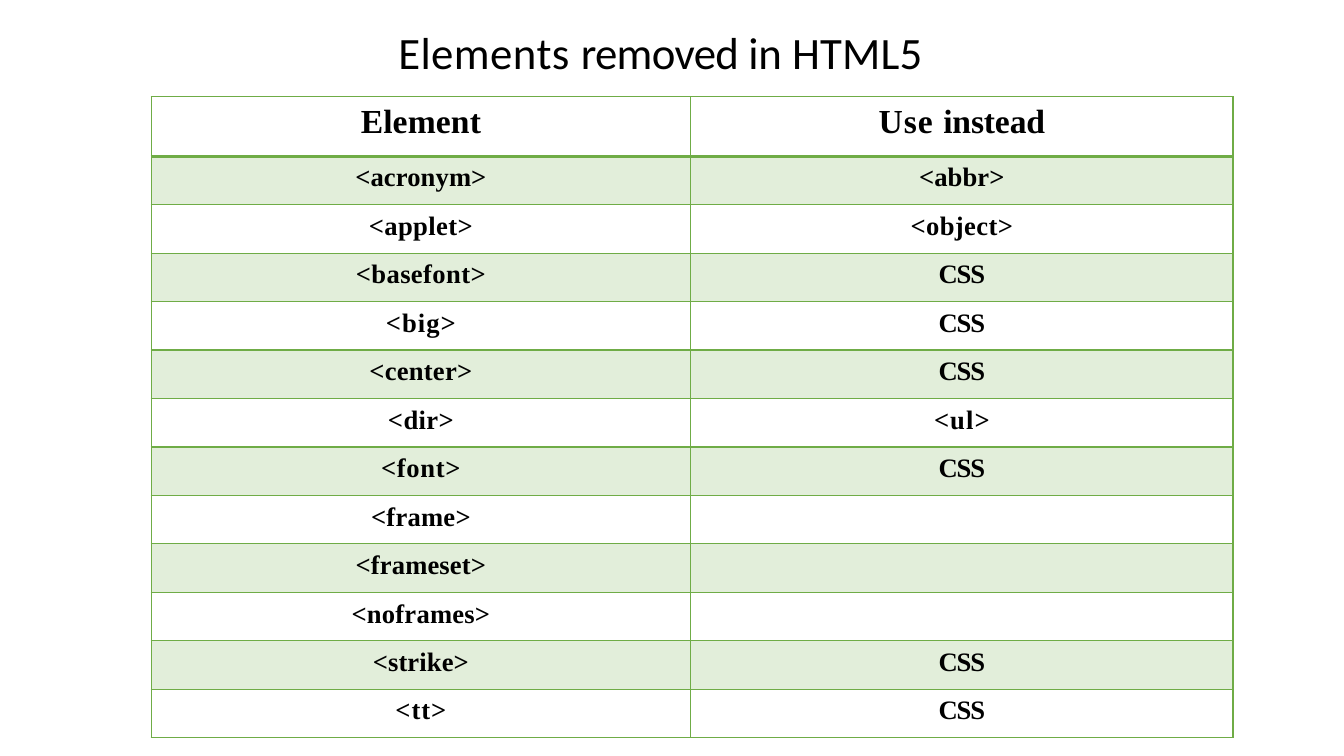
from lxml import etree
from pptx import Presentation
from pptx import util as u
from pptx.dml import color
from pptx.enum import text
from pptx.oxml import ns

GREEN, BAND, BLACK = "6FAC46", "E2EEDA", "000000"
TITLE_RUNS = [("Elements ", 0.3), ("removed ", -0.5), ("in ", -0.1), ("HTML5", 0.1)]
HEADINGS = [[("Element", 0.1)], [("Use ", 0.7), ("instead", -0.1)]]
CSS = ("CSS", -0.8)
REPLACEMENTS = [
    (("<acronym>", 0.1), ("<abbr>", 0.1)),
    (("<applet>", 0.3), ("<object>", 0.3)),
    (("<basefont>", 0.3), CSS),
    (("<big>", 0.8), CSS),
    (("<center>", 0.2), CSS),
    (("<dir>", 0.3), ("<ul>", 0.8)),
    (("<font>", 0.5), CSS),
    (("<frame>", 0.2), None),
    (("<frameset>", 0.1), None),
    (("<noframes>", 0.2), None),
    (("<strike>", 0.1), CSS),
    (("<tt>", 0.7), CSS),
]


def rgb(value):
    return color.RGBColor.from_string(value)


def add_runs(paragraph, runs, font_name, size, bold):
    """Add (wording, letter spacing in points) pairs to the paragraph."""
    for wording, spacing in runs:
        run = paragraph.add_run()
        run.text = wording
        run.font.name, run.font.size, run.font.bold = font_name, u.Pt(size), bold
        run.font.color.rgb = rgb(BLACK)
        run._r.get_or_add_rPr().set("spc", str(round(spacing * 100)))


def set_borders(cell, widths):
    """Draw the left, right, top and bottom borders in the given point widths."""
    properties = cell._tc.get_or_add_tcPr()
    for side, width in zip("LRTB", widths):
        line = etree.SubElement(properties, ns.qn(f"a:ln{side}"), w=str(u.Pt(width)))
        solid = etree.SubElement(line, ns.qn("a:solidFill"))
        etree.SubElement(solid, ns.qn("a:srgbClr"), val=GREEN)


def fill_cell(cell, runs, size, row):
    cell.margin_left = cell.margin_right = cell.margin_bottom = 0
    cell.margin_top = u.Inches(0.07)
    paragraph = cell.text_frame.paragraphs[0]
    paragraph.alignment = text.PP_ALIGN.CENTER
    add_runs(paragraph, runs, "Times New Roman", size, True)
    set_borders(cell, (1, 1, 2.25 if row == 1 else 1, 2.25 if row == 0 else 1))
    if row % 2:
        cell.fill.solid()
        cell.fill.fore_color.rgb = rgb(BAND)
    else:
        cell.fill.background()


def place_title(slide, left, top, width, height):
    title = slide.shapes.title
    title.left, title.top = u.Inches(left), u.Inches(top)
    title.width, title.height = u.Inches(width), u.Inches(height)
    frame = title.text_frame
    frame.margin_left = frame.margin_right = frame.margin_bottom = 0
    frame.margin_top = u.Inches(0.01)
    frame.vertical_anchor = text.MSO_ANCHOR.MIDDLE
    frame.word_wrap = True
    frame.auto_size = text.MSO_AUTO_SIZE.SHAPE_TO_FIT_TEXT
    paragraph = frame.paragraphs[0]
    paragraph.alignment = text.PP_ALIGN.LEFT
    paragraph._p.get_or_add_pPr().set("marL", str(u.Inches(0.01)))
    add_runs(paragraph, TITLE_RUNS, "Calibri", 32, False)


def add_replacements(slide, left, top, width, height):
    row_count = len(REPLACEMENTS) + 1
    table = slide.shapes.add_table(
        row_count, 2, u.Inches(left), u.Inches(top), u.Inches(width), u.Inches(height)
    ).table
    table.horz_banding = table.first_row = False
    element_width, heading_height = 5.35, 0.59
    table.columns[0].width = u.Inches(element_width)
    table.columns[1].width = u.Inches(width - element_width)
    for row in table.rows:
        row.height = u.Inches((height - heading_height) / len(REPLACEMENTS))
    table.rows[0].height = u.Inches(heading_height)
    for column, heading in enumerate(HEADINGS):
        fill_cell(table.cell(0, column), heading, 24, 0)
    for row, entries in enumerate(REPLACEMENTS, start=1):
        for column, entry in enumerate(entries):
            fill_cell(table.cell(row, column), [entry] if entry else [], 19, row)


def main():
    deck = Presentation()
    deck.slide_width, deck.slide_height = u.Inches(13.33), u.Inches(7.5)
    slide = deck.slides.add_slide(deck.slide_layouts[5])
    place_title(slide, 3.94, 0.23, 5.73, 0.55)
    add_replacements(slide, 1.5, 0.96, 10.73, 6.36)
    deck.save("out.pptx")


if __name__ == "__main__":
    main()
